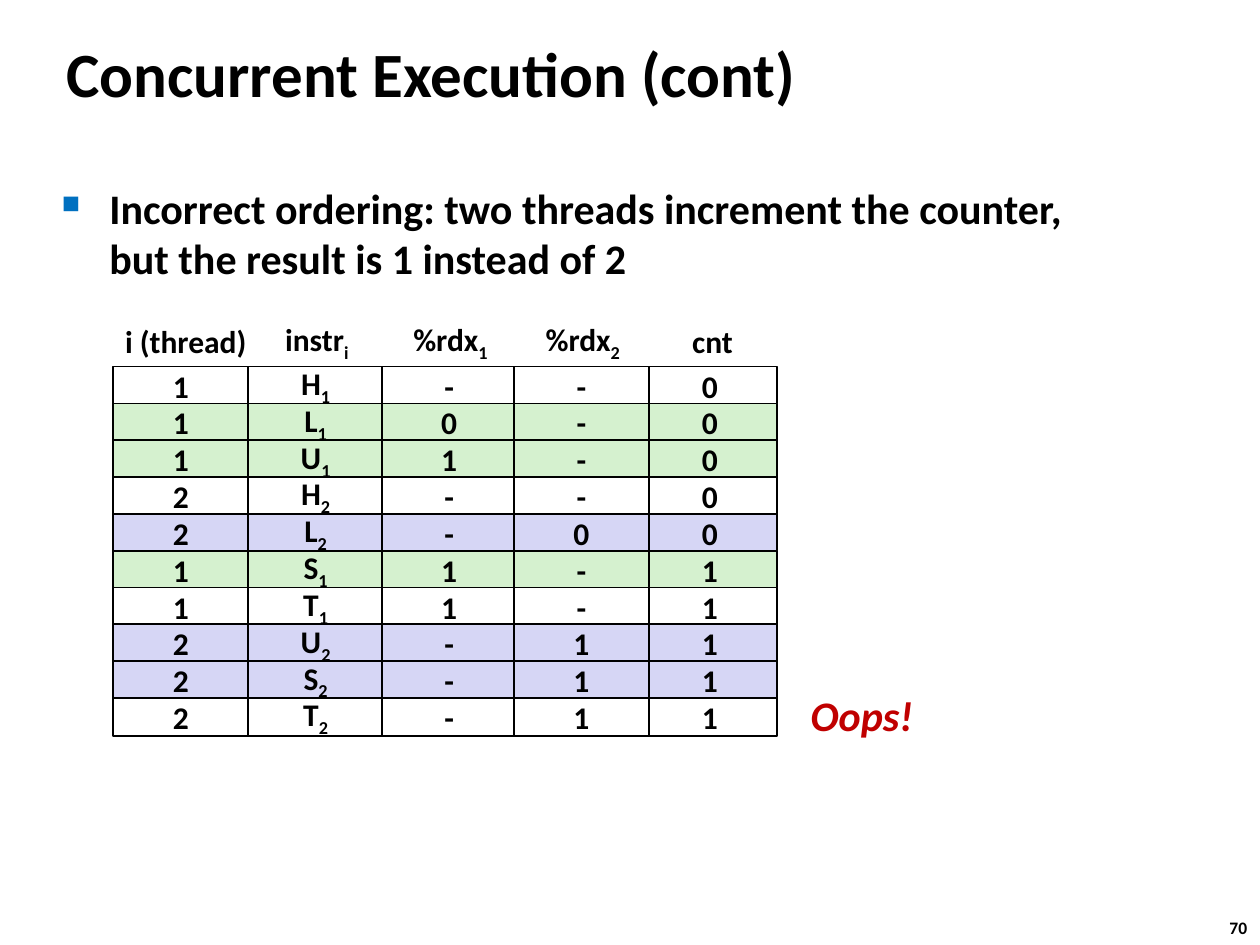
from dataclasses import dataclass

from lxml import etree
from pptx import Presentation
from pptx.dml.color import RGBColor
from pptx.enum.shapes import MSO_SHAPE
from pptx.enum.text import MSO_ANCHOR, MSO_AUTO_SIZE, PP_ALIGN
from pptx.oxml.ns import qn
from pptx.util import Inches, Pt

RECTANGLE = MSO_SHAPE.RECTANGLE
TOP, MIDDLE = MSO_ANCHOR.TOP, MSO_ANCHOR.MIDDLE
LEFT, CENTER = PP_ALIGN.LEFT, PP_ALIGN.CENTER
FIT_SHAPE = MSO_AUTO_SIZE.SHAPE_TO_FIT_TEXT


@dataclass(frozen=True)
class Theme:
    font: str = "Calibri"
    title_size: int = 36
    body_size: int = 24
    cell_size: int = 18
    number_size: int = 10
    ink: str = "000000"
    plain: str = "FFFFFF"
    thread_1: str = "D5F1CF"
    thread_2: str = "D6D6F5"
    bullet: str = "0070C0"
    alert: str = "C00000"


THEME = Theme()
COLUMN_LEFTS = (0.9, 1.97, 3.03, 4.08, 5.1)
CELL_WIDTH, CELL_HEIGHT = 1.07, 0.3
FIRST_ROW_TOP, LAST_ROW_TOP = 2.91, 5.54
DRAW_ORDER = (1, 0, 2, 4, 3)

HEADINGS = (
    ("i (thread)", 0.89, 1.17),
    ("instr_i", 2.16, 0.71),
    ("%rdx_1", 3.17, 0.81),
    ("%rdx_2", 4.22, 0.81),
    ("cnt", 5.39, 0.53),
)
STEPS = (
    (THEME.plain, ("1", "H_1", "-", "-", "0")),
    (THEME.thread_1, ("1", "L_1", "0", "-", "0")),
    (THEME.thread_1, ("1", "U_1", "1", "-", "0")),
    (THEME.plain, ("2", "H_2", "-", "-", "0")),
    (THEME.thread_2, ("2", "L_2", "-", "0", "0")),
    (THEME.thread_1, ("1", "S_1", "1", "-", "1")),
    (THEME.plain, ("1", "T_1", "1", "-", "1")),
    (THEME.thread_2, ("2", "U_2", "-", "1", "1")),
    (THEME.thread_2, ("2", "S_2", "-", "1", "1")),
    (THEME.plain, ("2", "T_2", "-", "1", "1")),
)


class SlideBuilder:
    """Draws styled elements on one slide."""

    def __init__(self, slide, theme):
        self.slide = slide
        self.theme = theme

    def style_text(self, text_frame, text, size, color, align, anchor, italic=False):
        text_frame.vertical_anchor = anchor
        paragraph = text_frame.paragraphs[0]
        base, _, subscript = text.partition("_")
        paragraph.text = base
        paragraph.alignment = align
        if subscript:
            run = paragraph.add_run()
            run.text = subscript
            run.font._element.set("baseline", "-25000")
        for run in paragraph.runs:
            run.font.name = self.theme.font
            run.font.size = Pt(size)
            run.font.bold = True
            run.font.italic = italic
            run.font.color.rgb = RGBColor.from_string(color)

    def text_box(self, left, top, width, height, text, size, color=None,
                 align=LEFT, anchor=TOP, wrap=False, italic=False):
        shape = self.slide.shapes.add_textbox(
            Inches(left), Inches(top), Inches(width), Inches(height))
        text_frame = shape.text_frame
        text_frame.word_wrap = wrap
        if not wrap:
            text_frame.auto_size = FIT_SHAPE
        self.style_text(text_frame, text, size, color or self.theme.ink,
                        align, anchor, italic)
        return text_frame

    def bullet_box(self, left, top, width, height, text):
        text_frame = self.text_box(left, top, width, height, text,
                                   self.theme.body_size, wrap=True)
        text_frame.margin_right = Inches(0.3)
        properties = text_frame.paragraphs[0]._p.get_or_add_pPr()
        properties.set("marL", str(Inches(0.38)))
        properties.set("indent", str(Inches(-0.38)))
        color = etree.SubElement(properties, qn("a:buClr"))
        etree.SubElement(color, qn("a:srgbClr"), val=self.theme.bullet)
        etree.SubElement(properties, qn("a:buSzPct"), val="60000")
        etree.SubElement(properties, qn("a:buChar"), char="■")

    def cell(self, left, top, text, fill):
        shape = self.slide.shapes.add_shape(
            RECTANGLE, Inches(left), Inches(top), Inches(CELL_WIDTH), Inches(CELL_HEIGHT))
        shape.shadow.inherit = False
        shape.fill.solid()
        shape.fill.fore_color.rgb = RGBColor.from_string(fill)
        shape.line.color.rgb = RGBColor.from_string(self.theme.ink)
        shape.line.width = Pt(1)
        self.style_text(shape.text_frame, text, self.theme.cell_size, self.theme.ink,
                        CENTER, MIDDLE)

    def trace_grid(self, steps):
        row_pitch = (LAST_ROW_TOP - FIRST_ROW_TOP) / (len(steps) - 1)
        for column in DRAW_ORDER:
            for row, (fill, values) in enumerate(steps):
                self.cell(COLUMN_LEFTS[column], FIRST_ROW_TOP + row * row_pitch,
                          values[column], fill)


def main():
    presentation = Presentation()
    presentation.slide_width = Inches(10)
    presentation.slide_height = Inches(7.5)
    slide = presentation.slides.add_slide(presentation.slide_layouts[6])
    builder = SlideBuilder(slide, THEME)

    builder.text_box(9.66, 7.23, 0.37, 0.27, "70", THEME.number_size)
    builder.text_box(0.43, 0.16, 8.3, 0.83, "Concurrent Execution (cont)",
                     THEME.title_size, anchor=MIDDLE, wrap=True)
    builder.bullet_box(0.39, 1.4, 8.64, 0.94,
                       "Incorrect ordering: two threads increment the counter, "
                       "but the result is 1 instead of 2")
    builder.trace_grid(STEPS)
    for heading, left, width in HEADINGS:
        builder.text_box(left, 2.51, width, 0.4, heading, THEME.cell_size,
                         align=CENTER, anchor=MIDDLE)
    builder.text_box(6.33, 5.42, 1.02, 0.5, "Oops!", THEME.body_size, THEME.alert,
                     align=CENTER, anchor=MIDDLE, italic=True)
    presentation.save("out.pptx")


if __name__ == "__main__":
    main()
